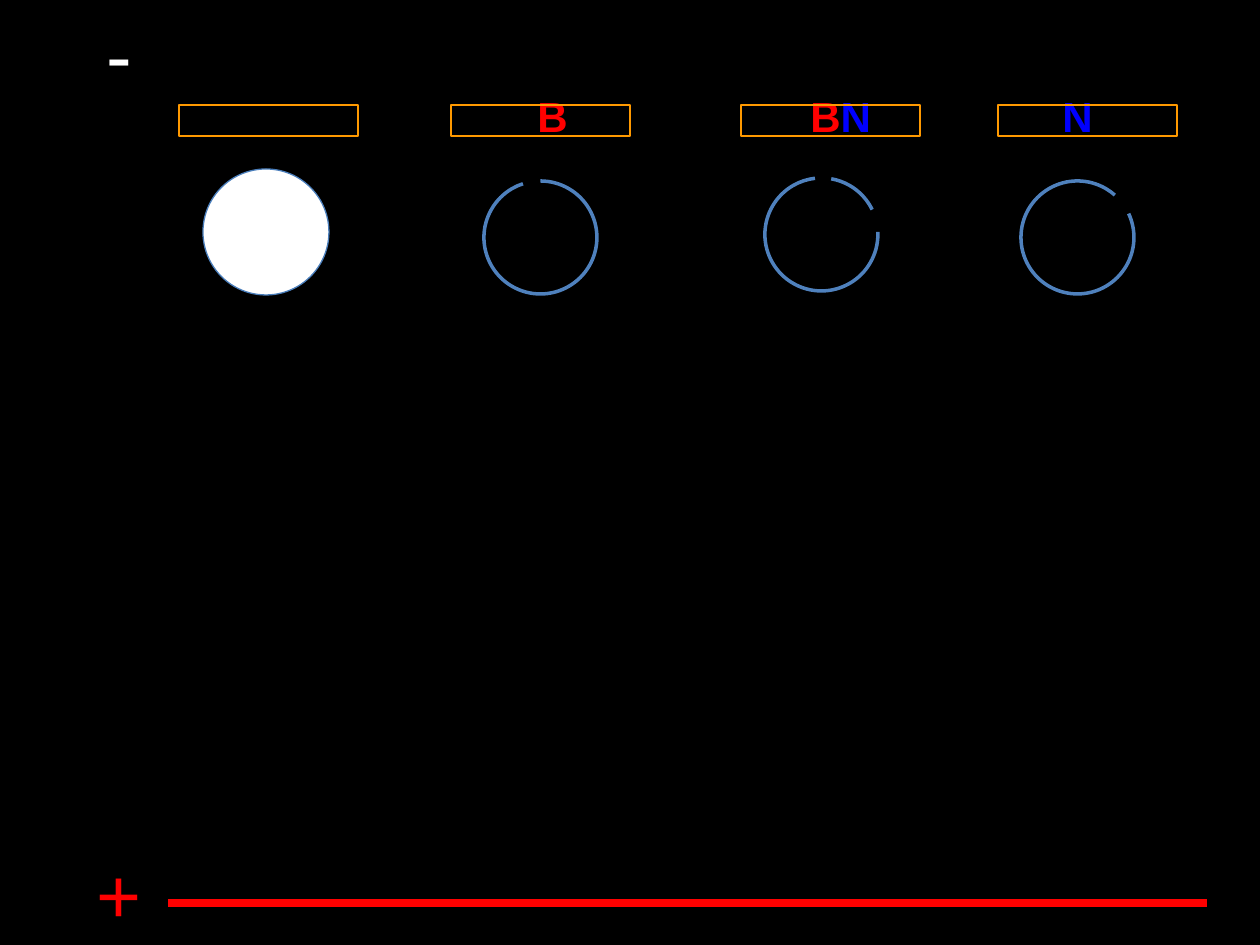
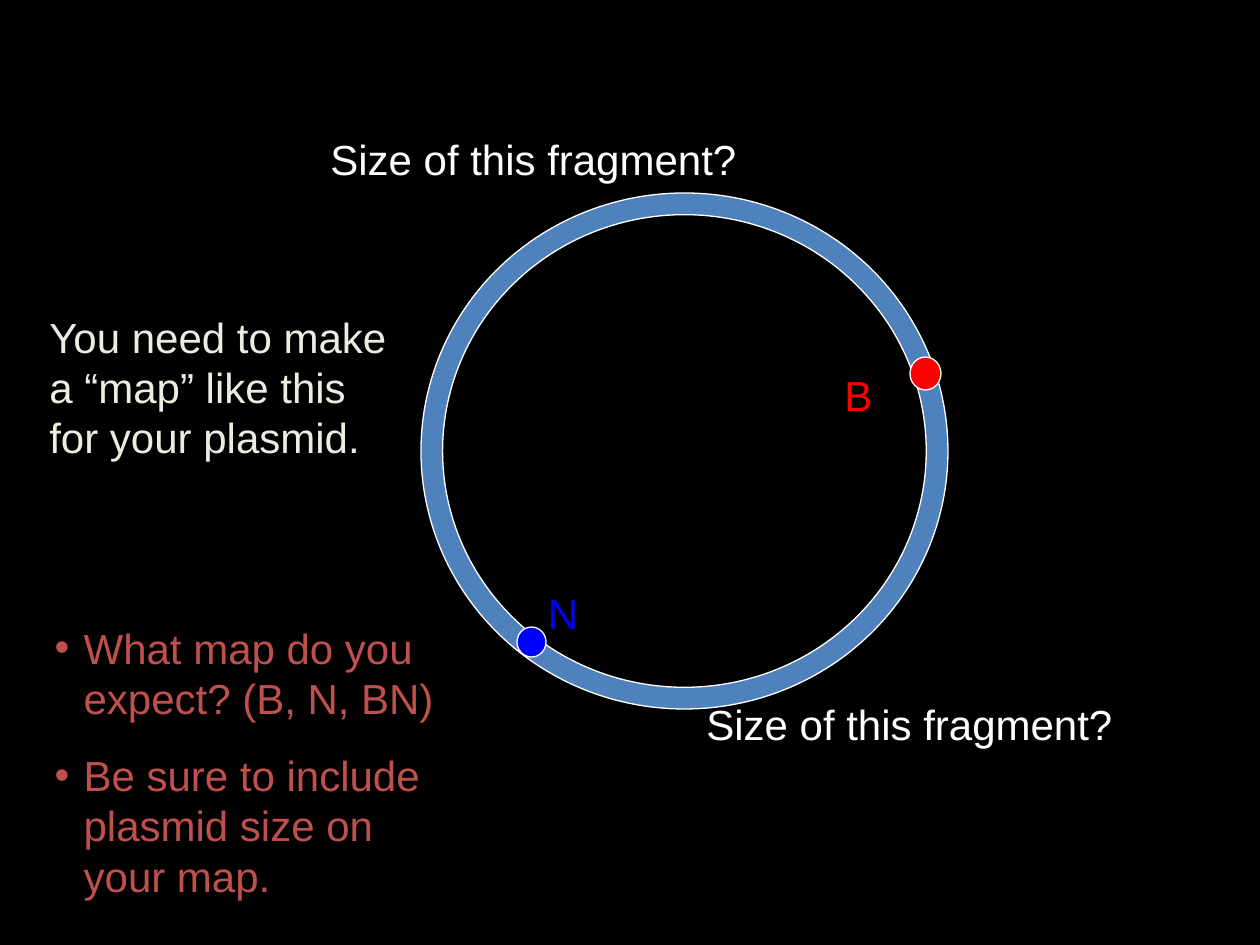
from lxml.etree import SubElement
from pptx import Presentation
from pptx.dml.color import RGBColor
from pptx.enum.shapes import MSO_CONNECTOR as Connector, MSO_SHAPE as Shape
from pptx.enum.text import MSO_ANCHOR as Anchor, MSO_AUTO_SIZE as AutoSize, PP_ALIGN as Align
from pptx.oxml.ns import qn
from pptx.util import Emu, Pt

SCALE = 914400 / 126
FONT = "Arial"
BLACK, WHITE, CREAM = "000000", "FFFFFF", "EEECE1"
RED, BLUE, ORANGE = "FF0000", "0000FF", "FF9900"
PLASMID, RIM, BRICK = "4F81BD", "4A7EBB", "C0504D"

WELL_TOP, WELL_SIZE = 105, (179, 31)
LABEL_TOP, LABEL_SIZE = 84, (105, 63)
ARC_SIZE = 113
UNCUT = (203, 169, 126, 126)
LANES = [
    dict(well=179),
    dict(well=451, label=525, enzymes=[("B", RED)], circle=(484, 181), cuts=[(270, 252)]),
    dict(well=741, label=798, enzymes=[("B", RED), ("N", BLUE)], circle=(765, 178),
         cuts=[(280, 334), (357.5, 263.5)]),
    dict(well=998, label=1050, enzymes=[("N", BLUE)], circle=(1021, 181), cuts=[(335, 311.5)]),
]
ELECTRODES = [
    ("+", RED, (84, 840, 136, 106)),
    ("-", WHITE, (94, 0, 136, 106)),
]
POSITIVE_END = (168, 903, 1207, 903)

RING, RING_THICKNESS = (421, 193, 527, 516), 0.042
SITES = [
    (BLUE, (517, 627, 29, 30)),
    (RED, (910, 357, 31, 33)),
]
MAP_LABELS = [
    ("B", RED, (832, 363, 52, 63), False),
    ("You need to make a “map” like this for your plasmid.", CREAM, (37, 305, 364, 291), True),
    ("Size of this fragment?", WHITE, (318, 127, 431, 63), False),
    ("Size of this fragment?", WHITE, (694, 692, 431, 63), False),
]
N_LABEL = (513, 587, 100, 52)
QUESTIONS = [
    "What map do you expect? (B, N, BN)",
    "Be sure to include plasmid size on your map.",
]
QUESTION_BOX, QUESTION_INDENT = (42, 616, 421, 291), 29


def px(*lengths):
    return [Emu(round(length * SCALE)) for length in lengths]


def rgb(color):
    return RGBColor.from_string(color)


def style(font, color, size=24, bold=False):
    font.name, font.size, font.bold = FONT, Pt(size), bold
    font.color.rgb = rgb(color)


def add_label(slide, box, parts, size=24, bold=False, wrap=True):
    frame = slide.shapes.add_textbox(*px(*box)).text_frame
    frame.word_wrap = wrap
    for text, color in parts:
        run = frame.paragraphs[0].add_run()
        run.text = text
        style(run.font, color, size, bold)
    return frame


def add_outline(slide, kind, box, line, fill=None, width=0.75):
    shape = slide.shapes.add_shape(kind, *px(*box))
    shape.shadow.inherit = False
    shape.line.color.rgb = rgb(line)
    shape.line.width = Pt(width)
    if fill:
        shape.fill.solid()
        shape.fill.fore_color.rgb = rgb(fill)
    else:
        shape.fill.background()
    return shape


def add_rail(slide, ends, color):
    rail = slide.shapes.add_connector(Connector.STRAIGHT, *px(*ends))
    rail.line.color.rgb = rgb(color)
    rail.line.width = Pt(4.5)
    SubElement(rail._element.spPr, qn("a:effectLst"))


def add_questions(slide):
    body = slide.placeholders[1]
    body.left, body.top, body.width, body.height = px(*QUESTION_BOX)
    frame = body.text_frame
    frame.text = "\n".join(QUESTIONS)
    frame.auto_size = AutoSize.NONE
    indent = px(QUESTION_INDENT)[0]
    for index, question in enumerate(frame.paragraphs):
        properties = question._p.get_or_add_pPr()
        properties.set("marL", str(indent))
        properties.set("indent", str(-indent))
        bullet_color = SubElement(properties, qn("a:buClr"))
        SubElement(bullet_color, qn("a:srgbClr"), val=BRICK)
        SubElement(properties, qn("a:buChar"), char="•")
        question.space_before = Pt(15 if index else 0)
        for run in question.runs:
            style(run.font, BRICK)


def build_gel(prs):
    slide = prs.slides.add_slide(prs.slide_layouts[6])
    add_rail(slide, POSITIVE_END, RED)
    for sign, color, box in ELECTRODES:
        add_label(slide, box, [(sign, color)], size=44)
    add_outline(slide, Shape.OVAL, UNCUT, RIM, WHITE)
    for lane in LANES:
        if "enzymes" in lane:
            add_label(slide, (lane["label"], LABEL_TOP, *LABEL_SIZE), lane["enzymes"], bold=True)
        for start, end in lane.get("cuts", []):
            arc = add_outline(slide, Shape.ARC, (*lane["circle"], ARC_SIZE, ARC_SIZE),
                              PLASMID, width=2)
            arc.adjustments[0], arc.adjustments[1] = start * 0.6, end * 0.6
        add_outline(slide, Shape.RECTANGLE, (lane["well"], WELL_TOP, *WELL_SIZE), ORANGE)


def build_map(prs):
    slide = prs.slides.add_slide(prs.slide_layouts[1])
    title = slide.shapes.title._element
    title.getparent().remove(title)
    ring = add_outline(slide, Shape.DONUT, RING, WHITE, PLASMID)
    ring.adjustments[0] = RING_THICKNESS
    for color, box in SITES:
        add_outline(slide, Shape.OVAL, box, WHITE, color)
    n_frame = add_label(slide, N_LABEL, [("N", BLUE)], wrap=False)
    n_frame.vertical_anchor = Anchor.MIDDLE
    n_frame.paragraphs[0].alignment = Align.CENTER
    for text, color, box, wrap in MAP_LABELS:
        add_label(slide, box, [(text, color)], wrap=wrap)
    add_questions(slide)


def main():
    prs = Presentation()
    prs.slide_width, prs.slide_height = px(1260, 945)
    backdrop = prs.slide_master.background.fill
    backdrop.solid()
    backdrop.fore_color.rgb = rgb(BLACK)
    build_gel(prs)
    build_map(prs)
    prs.save("out.pptx")


if __name__ == "__main__":
    main()
